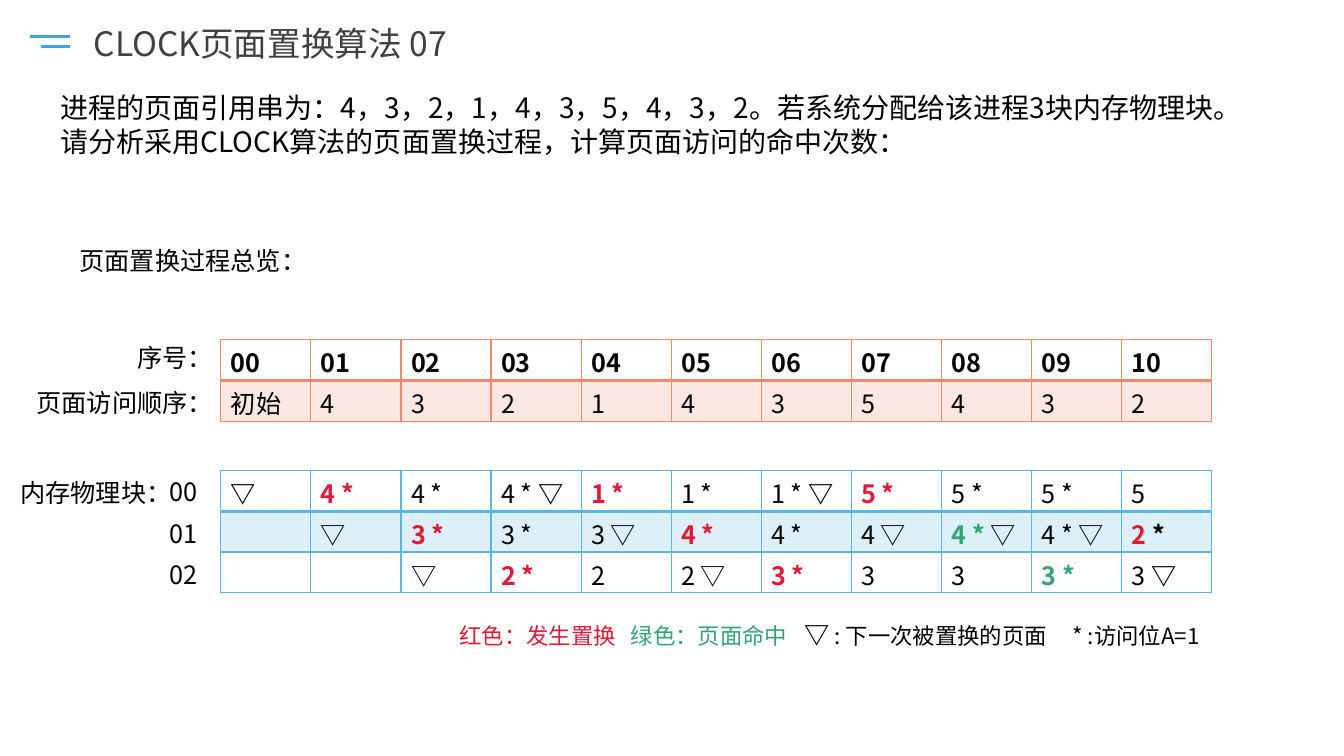
from lxml.etree import SubElement
from pptx import Presentation
from pptx.dml.color import RGBColor
from pptx.enum.shapes import MSO_CONNECTOR
from pptx.enum.text import MSO_ANCHOR, PP_ALIGN
from pptx.oxml import parse_xml
from pptx.oxml.ns import nsdecls, qn
from pptx.util import Pt

PX = 9144  # 100 px to the inch
FONT = "Noto Sans CJK SC"
LINE_HEIGHT = 1.2
COLORS = {
    "title": "404040", "text": "000000", "mark": "3FA4DE",
    "swap": "DE1A37", "hit": "34A471", "order": "F18870", "frames": "58B6E5",
}


def swap(text):
    return text, "swap", True


def hit(text):
    return text, "hit", True


POINTER = ("▽", "text", True)
ACCESS_ORDER = [
    [[(f"{step:02}", "text", True)] for step in range(11)],
    [[page] for page in ["初始", *"4321435432"]],
]
FRAMES = [
    [[POINTER], [swap("4 *")], ["4 *"], ["4 * ", POINTER], [swap("1 *")], ["1 *"],
     ["1 * ", POINTER], [swap("5 *")], ["5 *"], ["5 *"], ["5"]],
    [[], ["▽"], [swap("3 *")], ["3 *"], ["3 ▽"], [swap("4 *")], ["4 *"],
     ["4 ▽"], [hit("4 * "), "▽"], ["4 * ▽"], [swap("2"), (" *", "text", True)]],
    [[], [], ["▽"], [swap("2 *")], ["2"], ["2 ▽"], [swap("3 *")],
     ["3"], ["3"], [hit("3 *")], ["3 ", POINTER]],
]


def rgb(name):
    return RGBColor.from_string(COLORS[name])


def write(paragraph, runs, size):
    """Fill a paragraph; a run is a plain string or (text, color, bold[, size])."""
    paragraph.line_spacing = Pt(size * LINE_HEIGHT)
    paragraph.font.size = Pt(size)
    for part in runs:
        text, color, bold, *own_size = (part, "text", False) if isinstance(part, str) else part
        run = paragraph.add_run()
        run.text = text
        run.font.size = Pt(own_size[0] if own_size else size)
        run.font.name = FONT
        run.font.bold = bold
        run.font.color.rgb = rgb(color)
        SubElement(run.font._element, qn("a:ea"), typeface=FONT)


def add_text(slide, box, paragraphs, size, align=PP_ALIGN.LEFT, tabs=()):
    frame = slide.shapes.add_textbox(*(v * PX for v in box)).text_frame
    frame.word_wrap = True
    frame.margin_left = frame.margin_right = 10 * PX
    frame.margin_top, frame.margin_bottom = 7 * PX, 3 * PX
    for index, runs in enumerate(paragraphs):
        paragraph = frame.paragraphs[0] if index == 0 else frame.add_paragraph()
        paragraph.alignment = align
        if tabs:
            stops = SubElement(paragraph._p.get_or_add_pPr(), qn("a:tabLst"))
            for stop in tabs:
                SubElement(stops, qn("a:tab"), pos=str(stop * PX), algn="l")
        write(paragraph, runs, size)


def style_cell(cell, color, tinted, bottom_width):
    """Outline the cell and, on tinted rows, fill it at 20 % opacity."""
    if tinted:
        cell.fill.solid()
        cell.fill.fore_color.rgb = rgb(color)
        tint = next(cell._tc.tcPr.iter(qn("a:srgbClr")))
        SubElement(tint, qn("a:alpha"), val="20000")
    else:
        cell.fill.background()
    for index, side in enumerate("LRTB"):
        width = Pt(bottom_width if side == "B" else 1)
        cell._tc.tcPr.insert(index, parse_xml(
            f'<a:ln{side} {nsdecls("a")} w="{width}"><a:solidFill>'
            f'<a:srgbClr val="{COLORS[color]}"/></a:solidFill></a:ln{side}>'))


def add_grid(slide, box, rows, color):
    left, top, width, height = (v * PX for v in box)
    table = slide.shapes.add_table(len(rows), len(rows[0]), left, top, width, height).table
    table.first_row = table.horz_banding = False
    for r, row in enumerate(rows):
        for c, runs in enumerate(row):
            cell = table.cell(r, c)
            cell.margin_left = cell.margin_right = 10 * PX
            cell.margin_top, cell.margin_bottom = 10 * PX, 0
            cell.vertical_anchor = MSO_ANCHOR.TOP
            write(cell.text_frame.paragraphs[0], runs, 18)
            style_cell(cell, color, r == 1, 2 if r == 0 else 1)


def add_header(slide, box):
    left, top, width, height = box
    # Two-stroke mark
    for indent, drop in ((0, 20), (11, 30)):
        stroke = slide.shapes.add_connector(
            MSO_CONNECTOR.STRAIGHT, (left + indent) * PX, (top + drop) * PX,
            (left + 39) * PX, (top + drop) * PX)
        stroke.line.color.rgb = rgb("mark")
        stroke.line.width = Pt(2.25)
        SubElement(stroke._element.spPr, qn("a:effectLst"))
    add_text(slide, (left + 53, top, width - 53, height),
             [[("CLOCK页面置换算法 07", "title", False)]], 24)


def add_question(slide, box):
    left, top, width, height = box
    add_text(slide, (left, top, width, 77), [
        ["进程的页面引用串为：4，3，2，1，4，3，5，4，3，2。若系统分配给该进程3块内存物理块。"],
        ["请分析采用CLOCK算法的页面置换过程，计算页面访问的命中次数："]], 20)
    add_text(slide, (left + 19, top + height - 40, 667, 40), [["页面置换过程总览："]], 18)


def add_access_order(slide, box):
    left, top, width, height = box
    for label, offset in (("序号：", -4), ("页面访问顺序：", 40)):
        add_text(slide, (0, top + offset, left + 2, 40), [[label]], 18, PP_ALIGN.RIGHT)
    add_grid(slide, box, ACCESS_ORDER, "order")


def add_frames(slide, box):
    left, top, width, height = box
    add_text(slide, (7, top, 173, 40), [["内存物理块："]], 18, PP_ALIGN.RIGHT)
    for frame in range(len(FRAMES)):
        add_text(slide, (left - 61, top - 1 + 41 * frame, 81, 40), [[f"{frame:02}"]], 18)
    add_grid(slide, box, FRAMES, "frames")


def add_legend(slide, box):
    add_text(slide, box, [[
        ("红色：发生置换\t", "swap", False), ("绿色：页面命中\t", "hit", False),
        (*POINTER, 18), " : 下一次被置换的页面\t", "* :访问位A=1"]],
        16, tabs=(170, 342, 608))


def main():
    deck = Presentation()
    deck.slide_width, deck.slide_height = 1333 * PX, 750 * PX
    slide = deck.slides.add_slide(deck.slide_layouts[6])
    add_header(slide, (30, 16, 500, 50))
    add_question(slide, (50, 83, 1245, 193))
    add_access_order(slide, (219, 337, 983, 81))
    add_frames(slide, (219, 467, 983, 121))
    add_legend(slide, (446, 611, 800, 40))
    deck.save("out.pptx")


if __name__ == "__main__":
    main()
